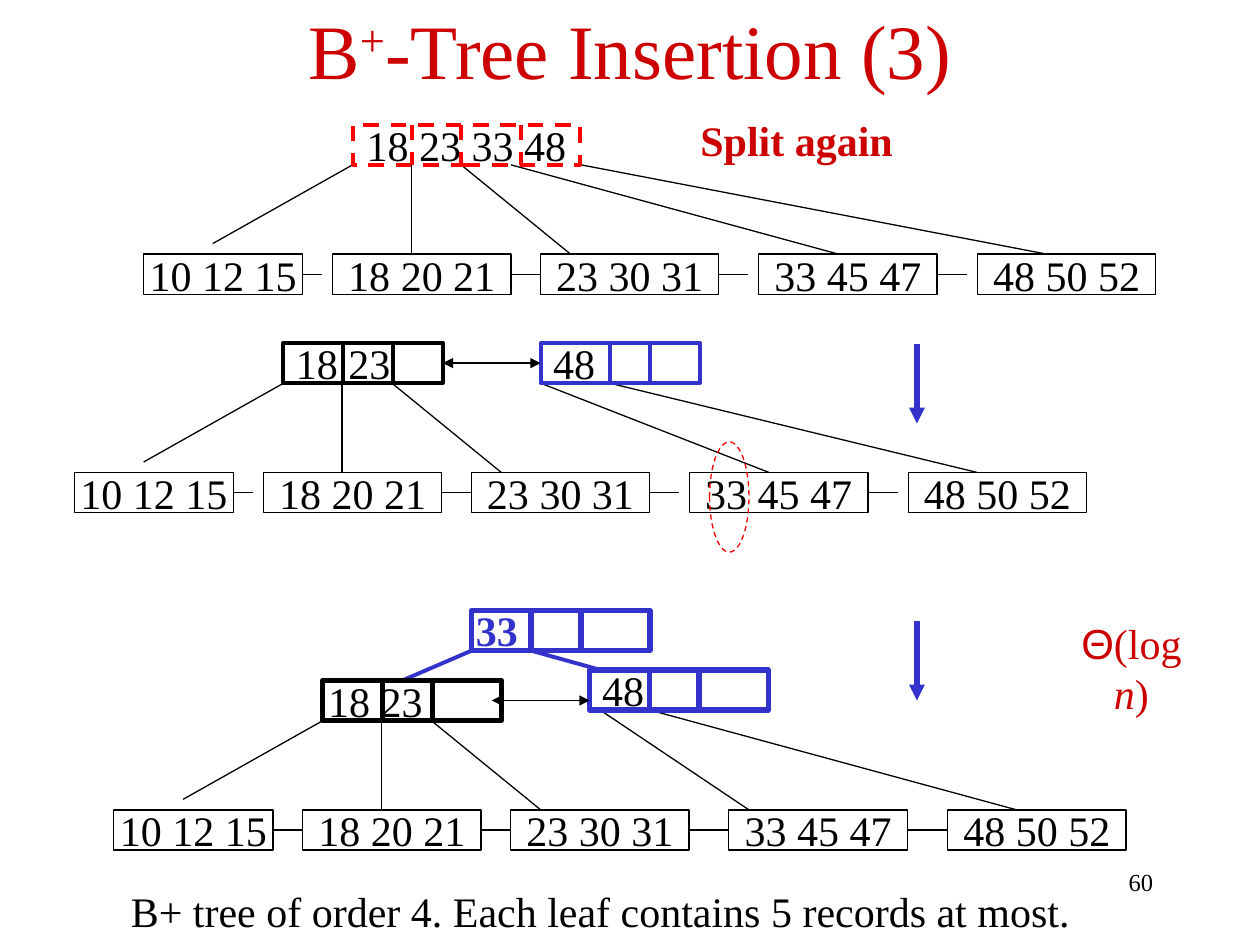
from lxml import etree
from pptx import Presentation
from pptx.dml.color import RGBColor
from pptx.enum.dml import MSO_LINE
from pptx.enum.shapes import MSO_CONNECTOR, MSO_SHAPE
from pptx.enum.text import MSO_ANCHOR, PP_ALIGN
from pptx.oxml.ns import qn
from pptx.util import Pt

RECT, OVAL = MSO_SHAPE.RECTANGLE, MSO_SHAPE.OVAL
STRAIGHT, DASH = MSO_CONNECTOR.STRAIGHT, MSO_LINE.DASH
MIDDLE, TOP = MSO_ANCHOR.MIDDLE, MSO_ANCHOR.TOP
LEFT, CENTER, RIGHT = PP_ALIGN.LEFT, PP_ALIGN.CENTER, PP_ALIGN.RIGHT
FONT = "Times New Roman"
COLORS = {"black": "000000", "red": "FF0000", "title": "CC0000", "blue": "3333CC"}
LEAVES = ["10 12 15", "18 20 21", "23 30 31", "33 45 47", "48 50 52"]
LEAF_X = [0, 108, 226.8, 351.5, 476.5]
HIGH = 23
ROOT_X, ROOT_Y = 119.5, -74  # index node, measured from the leaf row


def style(font, color, size=24, bold=False, name=FONT):
    font.name, font.size, font.bold = name, Pt(size), bold
    font.color.rgb = RGBColor.from_string(COLORS[color])


def stroke(line, color, width, dash=None):
    line.color.rgb = RGBColor.from_string(COLORS[color])
    line.width = Pt(width)
    if dash:
        line.dash_style = dash


def link(slide, start, end, color="black", width=0.75, dash=None, ends=()):
    line = slide.shapes.add_connector(STRAIGHT, *map(Pt, start + end))
    stroke(line.line, color, width, dash)
    props = line._element.spPr
    outline = line.line._get_or_add_ln()
    for tag in ends:
        etree.SubElement(outline, qn("a:" + tag), type="triangle")
    etree.SubElement(props, qn("a:effectLst"))
    return line


def shape(slide, kind, box, color="black", width=0.75, dash=None):
    item = slide.shapes.add_shape(kind, *map(Pt, box))
    item.shadow.inherit = False
    item.fill.background()
    stroke(item.line, color, width, dash)
    return item


def write(frame, text, color="black", size=24, align=CENTER, bold=False):
    para = frame.paragraphs[0]
    para.text, para.alignment = text, align
    style(para.font, color, size, bold)


def label(slide, box, text, color="black", size=24, align=CENTER, bold=False):
    frame = slide.shapes.add_textbox(*map(Pt, box)).text_frame
    frame.word_wrap, frame.vertical_anchor = False, TOP
    write(frame, text, color, size, align, bold)


def node(slide, box, text="", cuts=(), color="black", width=0.75, dash=None,
         align=CENTER, inset=7.2):
    """A box of keys, split by upright lines at the given cuts."""
    item = shape(slide, RECT, box, color, width, dash)
    frame = item.text_frame
    frame.word_wrap, frame.vertical_anchor = False, MIDDLE
    frame.margin_left = Pt(inset)
    if text:
        write(frame, text, align=align)
    x, y, _, high = box
    for cut in cuts:
        link(slide, (x + cut, y), (x + cut, y + high), color, width, dash)
    return item


def tree(slide, x, y, fans, full):
    """Leaf row at x, y with its links and the lines from the index nodes."""
    row = [node(slide, (x + dx, y, 102 if i else 91, HIGH), text)
           for i, (dx, text) in enumerate(zip(LEAF_X, LEAVES))]
    for i, (one, two) in enumerate(zip(row, row[1:])):
        mid = y + HIGH / 2
        stop = x + LEAF_X[i + 1] - 6
        line = link(slide, (stop - 12, mid), (stop, mid))
        line.begin_connect(one, 3)
        if full or i == 1:
            line.end_connect(two, 1)
    base = ROOT_Y + HIGH
    own = [(ROOT_X, base, 39.6, -6), (153, base, 153, 0), (181.5, base, 244, 0)]
    for x1, y1, x2, y2 in own + fans:
        link(slide, (x + x1, y + y1), (x + x2, y + y2))


def full_tree(slide, x, y):
    tree(slide, x, y, [(210, -51, 397, 0), (250, -51, 516, 0)], False)
    node(slide, (x + ROOT_X, y + ROOT_Y, 130, HIGH), "18 23 33 48",
         (34, 62, 96), "red", 2.25, DASH)
    label(slide, (x + 311, y - 83.5, 124.5, 36), "Split again", "title", bold=True)


def split_tree(slide, x, y):
    tree(slide, x, y, [(266.5, -51, 397, 0), (306, -51, 516, 0)], False)
    old = node(slide, (x + ROOT_X, y + ROOT_Y, 91, HIGH), "18 23",
               (34, 62.5), "black", 2.25, align=LEFT)
    new = node(slide, (x + 266.5, y + ROOT_Y, 91, HIGH), "48",
               (39.5, 62.5), "blue", 2.25, align=LEFT)
    pair = link(slide, (x + 210, y - 62.5), (x + 266, y - 62.5),
                ends=("headEnd", "tailEnd"))
    pair.begin_connect(old, 3)
    pair.end_connect(new, 1)
    shape(slide, OVAL, (x + 363, y - 17.5, 22.5, 63), "red", 0.75, DASH)
    link(slide, (x + 481.5, y - 73.5), (x + 481.5, y - 28), "blue", 3,
         ends=("tailEnd",))


def grown_tree(slide, x, y):
    tree(slide, x, y, [(278, -57, 363, 0), (306.5, -57, 516, 0)], True)
    cuts = (34, 62.5)
    node(slide, (x + 204.5, y - 114, 102, HIGH), "", cuts, "blue", 3)
    label(slide, (x + 194, y - 121, 50, 36), "33", "blue", bold=True)
    link(slide, (x + 165, y - 74), (x + 204.5, y - 91), "blue", 2.25)
    link(slide, (x + 238.5, y - 91), (x + 278, y - 80), "blue", 2.25)
    node(slide, (x + ROOT_X, y + ROOT_Y, 102, HIGH), "18 23", cuts, "black", 3,
         align=LEFT, inset=3)
    node(slide, (x + 272, y - 80, 102, HIGH), "48", cuts, "blue", 3, align=LEFT)
    link(slide, (x + 216, y - 62.5), (x + 272, y - 62.5),
         ends=("headEnd", "tailEnd"))
    link(slide, (x + 459, y - 108), (x + 459, y - 62.5), "blue", 3,
         ends=("tailEnd",))


def title(slide, x, y, wide, high):
    item = slide.shapes.title
    item.left, item.top, item.width, item.height = map(Pt, (x, y, wide, high))
    item.text_frame.vertical_anchor = MIDDLE
    para = item.text_frame.paragraphs[0]
    para.alignment = CENTER
    style(para.font, "title", 44)
    for text in ("B", "+", "-Tree Insertion (3)"):
        run = para.add_run()
        run.text = text
        if text == "+":
            run._r.get_or_add_rPr().set("baseline", "30000")


def cost(slide, x, y, wide, high):
    frame = slide.shapes.add_textbox(*map(Pt, (x, y, wide, high))).text_frame
    frame.word_wrap = True
    para = frame.paragraphs[0]
    para.alignment = CENTER
    for text, name in (("Θ", "Arial"), ("(log ", FONT), ("n", FONT), (")", FONT)):
        run = para.add_run()
        run.text = text
        style(run.font, "title", name=name)
        run.font.italic = text == "n"


def main():
    deck = Presentation()
    deck.slide_width, deck.slide_height = Pt(720), Pt(540)
    slide = deck.slides.add_slide(deck.slide_layouts[5])
    title(slide, 36, -8, 648, 72)
    # Three stages of the insertion
    full_tree(slide, 82, 145.2)
    split_tree(slide, 42.5, 270)
    grown_tree(slide, 65, 462.8)
    # Cost, caption and page number
    cost(slide, 598.3, 349.2, 96.5, 36)
    label(slide, (67.7, 502.6, 556.6, 36),
          "B+ tree of order 4. Each leaf contains 5 records at most.", align=LEFT)
    label(slide, (516.2, 491.8, 149.8, 36), "60", size=14, align=RIGHT)
    deck.save("out.pptx")


if __name__ == "__main__":
    main()
